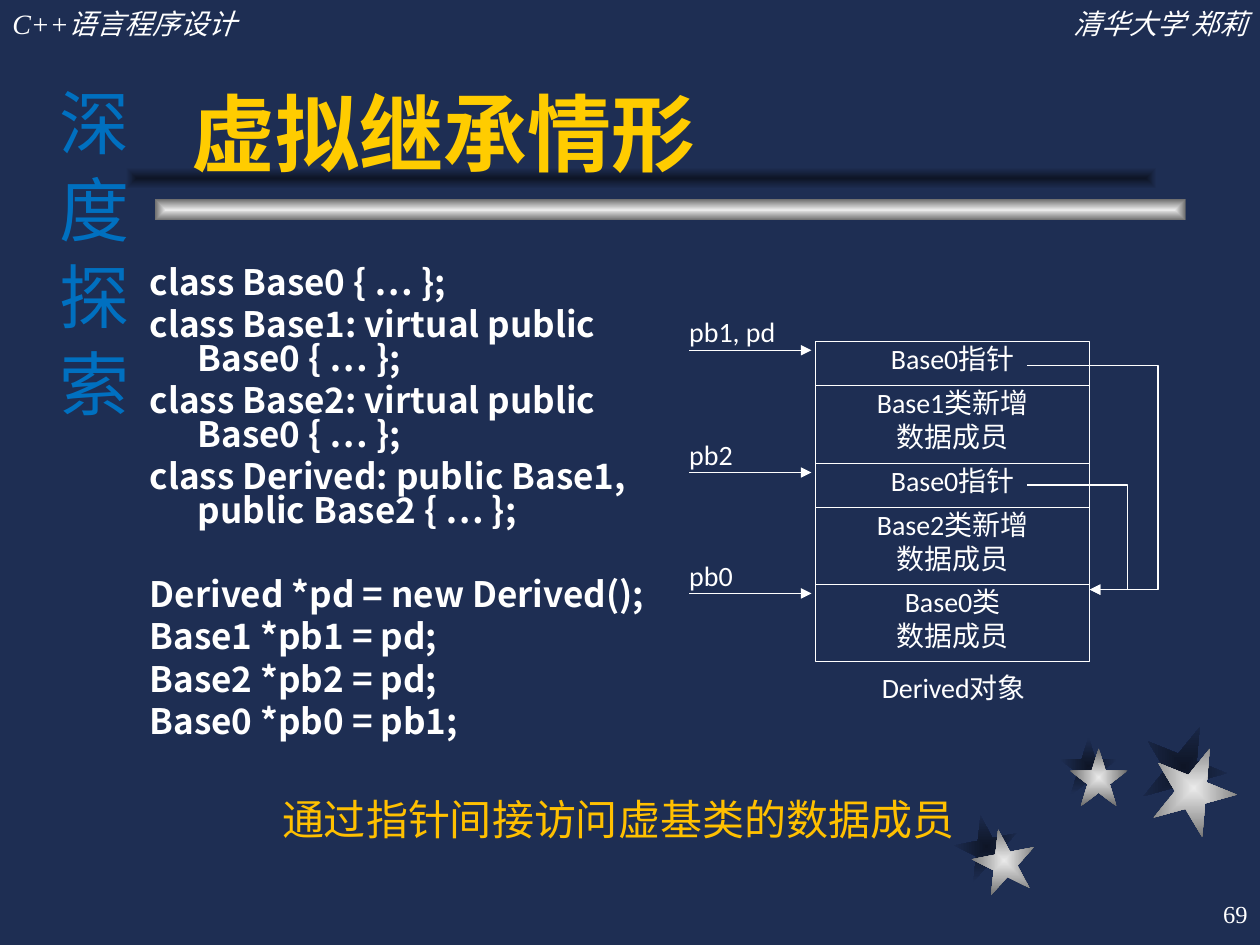
from dataclasses import dataclass

from lxml.etree import SubElement
from pptx import Presentation
from pptx.dml.color import RGBColor as RGB
from pptx.enum.shapes import MSO_CONNECTOR as LINK, MSO_SHAPE as SHAPE
from pptx.enum.text import MSO_ANCHOR as ANCHOR, MSO_AUTO_SIZE as FIT, PP_ALIGN as ALIGN
from pptx.oxml.ns import qn
from pptx.util import Inches, Pt


@dataclass(frozen=True)
class Theme:
    navy: RGB = RGB(0x1E, 0x2E, 0x53)
    shade: RGB = RGB(0x0E, 0x15, 0x26)
    silver: RGB = RGB(0xEA, 0xEA, 0xEA)
    steel: RGB = RGB(0x6C, 0x6C, 0x6C)
    white: RGB = RGB(0xFF, 0xFF, 0xFF)
    gold: RGB = RGB(0xFF, 0xCC, 0x00)
    amber: RGB = RGB(0xFF, 0xC0, 0x00)
    blue: RGB = RGB(0x00, 0x70, 0xC0)
    serif: str = "Times New Roman"
    label: str = "Calibri"
    code: str = "Noto Sans CJK SC"
    heading: str = "Arial"
    title_size: int = 48
    side_size: int = 40
    caption_size: int = 24
    code_size: int = 20
    label_size: int = 16
    number_size: int = 14


theme = Theme()


def write(shape, lines, font, size, color, align=ALIGN.LEFT, margins=(0.1, 0.05),
          bold=False, italic=False):
    frame = shape.text_frame
    frame.word_wrap = True
    frame.auto_size = FIT.NONE
    frame.vertical_anchor = ANCHOR.TOP
    frame.margin_left = frame.margin_right = Inches(margins[0])
    frame.margin_top = frame.margin_bottom = Inches(margins[1])
    for index, line in enumerate(lines):
        paragraph = frame.add_paragraph() if index else frame.paragraphs[0]
        paragraph.alignment = align
        run = paragraph.add_run()
        run.text = line
        run.font.name = font
        run.font.size = Pt(size)
        run.font.bold = bold
        run.font.italic = italic
        run.font.color.rgb = color
    return frame


def link(kind, start, end, bend=None):
    arrow = slide.shapes.add_connector(kind, *map(Inches, start + end))
    arrow.line.color.rgb = theme.white
    arrow.line.width = Pt(0.75)
    SubElement(arrow.line._get_or_add_ln(), qn("a:tailEnd"), type="triangle")
    properties = arrow._element.spPr
    SubElement(properties, qn("a:effectLst"))
    if bend is not None:
        guides = properties.find(qn("a:prstGeom")).find(qn("a:avLst"))
        ratio = (bend - start[0]) / (end[0] - start[0])
        SubElement(guides, qn("a:gd"), name="adj1", fmla=f"val {round(ratio * 100000)}")


deck = Presentation()
deck.slide_width, deck.slide_height = Inches(10), Inches(7.5)
slide = deck.slides.add_slide(deck.slide_layouts[5])
slide.background.fill.solid()
slide.background.fill.fore_color.rgb = theme.navy

dark, metal = (theme.shade, theme.navy), (theme.silver, theme.steel)
ornaments = [
    (SHAPE.STAR_5_POINT, 7.58, 6.47, 0.5, 0.5, 349, dark),
    (SHAPE.STAR_5_POINT, 8.41, 5.85, 0.46, 0.46, 0, dark),
    (SHAPE.STAR_5_POINT, 9.06, 5.75, 0.67, 0.67, 22, dark),
    (SHAPE.STAR_5_POINT, 7.72, 6.58, 0.5, 0.5, 349, metal),
    (SHAPE.STAR_5_POINT, 8.49, 5.94, 0.46, 0.46, 0, metal),
    (SHAPE.STAR_5_POINT, 9.14, 5.92, 0.67, 0.67, 22, metal),
    (SHAPE.RECTANGLE, 1.23, 1.58, 8.18, 0.17, 0, metal),
    (SHAPE.RECTANGLE, 1, 1.33, 8.18, 0.17, 0, dark),
]
for kind, left, top, width, height, angle, (center, edge) in ornaments:
    ornament = slide.shapes.add_shape(kind, *map(Inches, (left, top, width, height)))
    ornament.rotation = angle
    ornament.shadow.inherit = False
    ornament.line.fill.background()
    ornament.fill.gradient()
    for stop, color, position in zip(ornament.fill.gradient_stops, (center, edge), (0, 1)):
        stop.color.rgb = color
        stop.position = position
    gradient = ornament._element.spPr.find(qn("a:gradFill"))
    gradient.remove(gradient.find(qn("a:lin")))
    radial = SubElement(gradient, qn("a:path"), path="rect")
    SubElement(radial, qn("a:fillToRect"), l="50000", t="50000", r="50000", b="50000")

for heading, left, align in (("C++语言程序设计", 0, ALIGN.LEFT), ("清华大学 郑莉", 6.92, ALIGN.RIGHT)):
    header = slide.shapes.add_textbox(Inches(left), 0, Inches(3.08), Inches(0.37))
    write(header, [heading], theme.serif, theme.label_size, theme.white, align, italic=True)

title = slide.shapes.title
title.left, title.top, title.width, title.height = map(Inches, (1.42, 0.25, 7.83, 1.25))
title_frame = write(title, ["虚拟继承情形"], theme.heading, theme.title_size, theme.gold, bold=True)
title_frame.vertical_anchor = ANCHOR.BOTTOM
title._element.getparent().append(title._element)

code_lines = [
    "class Base0 { … };",
    "class Base1: virtual public Base0 { … };",
    "class Base2: virtual public Base0 { … };",
    "class Derived: public Base1, public Base2 { … };",
    "Derived *pd = new Derived();",
    "Base1 *pb1 = pd;",
    "Base2 *pb2 = pd;",
    "Base0 *pb0 = pb1;",
]
code = slide.shapes.add_textbox(*map(Inches, (1.09, 2.08, 4.14, 4.5)))
code_frame = write(code, code_lines, theme.code, theme.code_size, theme.white, bold=True)
for index, statement in enumerate(code_frame.paragraphs):
    statement.line_spacing = 0.8
    statement.space_before = Pt(0 if index == 0 else 29 if index == 4 else 5)
    indent = statement._p.get_or_add_pPr()
    indent.set("marL", str(Inches(0.38)))
    indent.set("indent", str(-Inches(0.38)))

number = slide.shapes.add_textbox(*map(Inches, (7.92, 7, 2.08, 0.5)))
number_frame = write(number, ["69"], theme.serif, theme.number_size, theme.white, ALIGN.RIGHT)
number_frame.vertical_anchor = ANCHOR.MIDDLE

members = [
    (["Base0指针"], 0.35),
    (["Base1类新增", "数据成员"], 0.62),
    (["Base0指针"], 0.35),
    (["Base2类新增", "数据成员"], 0.61),
    (["Base0类", "数据成员"], 0.61),
]
top = 2.71
for lines, height in members:
    member = slide.shapes.add_shape(SHAPE.RECTANGLE, *map(Inches, (6.47, top, 2.18, height)))
    member.shadow.inherit = False
    member.fill.background()
    member.line.color.rgb = theme.white
    member.line.width = Pt(0.75)
    write(member, lines, theme.label, theme.label_size, theme.white, ALIGN.CENTER, (0, 0))
    top += height

for name, level in (("pb1, pd", 2.78), ("pb2", 3.75), ("pb0", 4.71)):
    pointer = slide.shapes.add_textbox(*map(Inches, (5.47, level - 0.28, 1.15, 0.28)))
    write(pointer, [name], theme.label, theme.label_size, theme.white, margins=(0, 0))
    link(LINK.STRAIGHT, (5.47, level), (6.44, level))

for level, bend in ((2.9, 9.19), (3.85, 8.95)):
    link(LINK.ELBOW, (8.15, level), (8.65, 4.68), bend)

object_label = slide.shapes.add_textbox(*map(Inches, (6.89, 5.32, 1.36, 0.32)))
write(object_label, ["Derived对象"], theme.label, theme.label_size, theme.white, ALIGN.CENTER, (0, 0))

caption = slide.shapes.add_textbox(*map(Inches, (2.14, 6.25, 5.53, 0.5)))
caption_frame = write(caption, ["通过指针间接访问虚基类的数据成员"], theme.serif,
                      theme.caption_size, theme.amber)
caption_frame.word_wrap = False

side = slide.shapes.add_textbox(*map(Inches, (0.25, 0.6, 0.86, 6.33)))
side_frame = write(side, ["深 度 探 索"], theme.serif, theme.side_size, theme.blue,
                   ALIGN.CENTER, (0.05, 0.1))
side_frame._txBody.bodyPr.set("vert", "eaVert")

deck.save("out.pptx")
